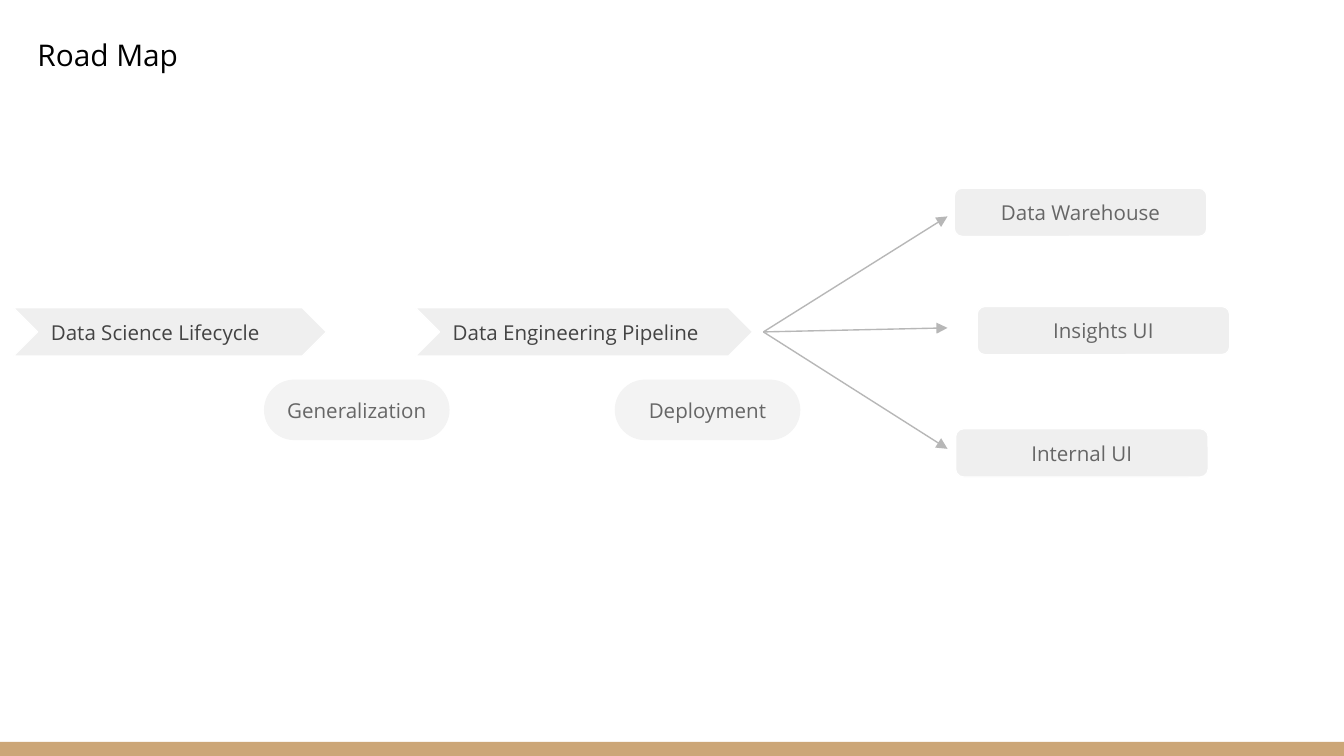
from dataclasses import dataclass

from lxml.etree import SubElement
from pptx import Presentation
from pptx.dml.color import RGBColor
from pptx.enum.shapes import MSO_CONNECTOR, MSO_SHAPE
from pptx.enum.text import MSO_ANCHOR, PP_ALIGN
from pptx.oxml.ns import qn
from pptx.util import Inches, Pt


@dataclass(frozen=True)
class Theme:
    font: str = "Open Sans"
    title_size: float = 16
    body_size: float = 11
    line_width: float = 0.75
    inset: float = 0.1
    title: str = "000000"
    step_text: str = "434343"
    label_text: str = "666666"
    box: str = "EFEFEF"
    pill: str = "F3F3F3"
    outline: str = "FFFFFF"
    arrow: str = "B7B7B7"
    footer: str = "CCA677"


THEME = Theme()


def rgb(value):
    return RGBColor.from_string(value)


def set_text(sp, text, size, color, align=PP_ALIGN.LEFT, anchor=MSO_ANCHOR.MIDDLE):
    tf = sp.text_frame
    tf.word_wrap = True
    tf.vertical_anchor = anchor
    tf.margin_left = tf.margin_right = Inches(THEME.inset)
    tf.margin_top = tf.margin_bottom = Inches(THEME.inset)
    p = tf.paragraphs[0]
    p.text = text
    p.alignment = align
    p.font.name = THEME.font
    p.font.size = Pt(size)
    p.font.color.rgb = rgb(color)


def add_box(s, kind, box, fill, outline=None):
    sp = s.shapes.add_shape(kind, *map(Inches, box))
    sp.shadow.inherit = False
    sp.fill.solid()
    sp.fill.fore_color.rgb = rgb(fill)
    if outline:
        sp.line.color.rgb = rgb(outline)
        sp.line.width = Pt(THEME.line_width)
    else:
        sp.line.fill.background()
    return sp


def add_arrow(s, start, end):
    line = s.shapes.add_connector(MSO_CONNECTOR.STRAIGHT, *map(Inches, start + end))
    line.line.color.rgb = rgb(THEME.arrow)
    line.line.width = Pt(THEME.line_width)
    props = line._element.spPr
    SubElement(props.find(qn("a:ln")), qn("a:tailEnd"), type="triangle")
    SubElement(props, qn("a:effectLst"))


def add_title(s, box, text):
    sp = s.shapes.add_textbox(*map(Inches, box))
    set_text(sp, text, THEME.title_size, THEME.title, anchor=MSO_ANCHOR.TOP)


def add_steps(s, left, top):
    """Chevron steps, with the pill for each handover below."""
    pill_w, pill_h, pill_drop = 1.37, 0.44, 0.54
    for x, text in ((1.87, "Generalization"), (4.48, "Deployment")):
        box = (left + x, top + pill_drop, pill_w, pill_h)
        sp = add_box(s, MSO_SHAPE.FLOWCHART_TERMINATOR, box, THEME.pill, THEME.pill)
        set_text(sp, text, THEME.body_size, THEME.label_text, PP_ALIGN.CENTER)

    chevrons = ((0, 2.33, "Data Science Lifecycle"),
                (2.99, 2.51, "Data Engineering Pipeline"))
    for x, width, text in chevrons:
        box = (left + x, top, width, 0.36)
        sp = add_box(s, MSO_SHAPE.CHEVRON, box, THEME.box, THEME.outline)
        set_text(sp, text, THEME.body_size, THEME.step_text)


def add_outputs(s, left, top):
    """Arrows fanning out to the three products of the pipeline."""
    origin = (left, top + 1.07)
    # arrow tip y, box x, box y, label
    outputs = ((0.21, 1.42, 0, "Data Warehouse"),
               (1.04, 1.59, 0.88, "Insights UI"),
               (1.94, 1.43, 1.79, "Internal UI"))
    for tip_y, x, y, text in outputs:
        add_arrow(s, origin, (left + 1.37, top + tip_y))
        box = (left + x, top + y, 1.88, 0.36)
        sp = add_box(s, MSO_SHAPE.ROUNDED_RECTANGLE, box, THEME.box, THEME.outline)
        set_text(sp, text, THEME.body_size, THEME.label_text, PP_ALIGN.CENTER)


def main():
    prs = Presentation()
    # Widescreen, 16:9
    prs.slide_width = Inches(10)
    prs.slide_height = prs.slide_width * 9 // 16
    s = prs.slides.add_slide(prs.slide_layouts[6])

    # Footer band
    add_box(s, MSO_SHAPE.RECTANGLE, (0, 5.52, 10, 0.11), THEME.footer)
    # Heading
    add_title(s, (0.18, 0.17, 4.51, 0.47), "Road Map")
    # Flow from lifecycle to products
    add_steps(s, 0.1, 2.29)
    add_outputs(s, 5.68, 1.4)

    prs.save("out.pptx")


if __name__ == "__main__":
    main()
